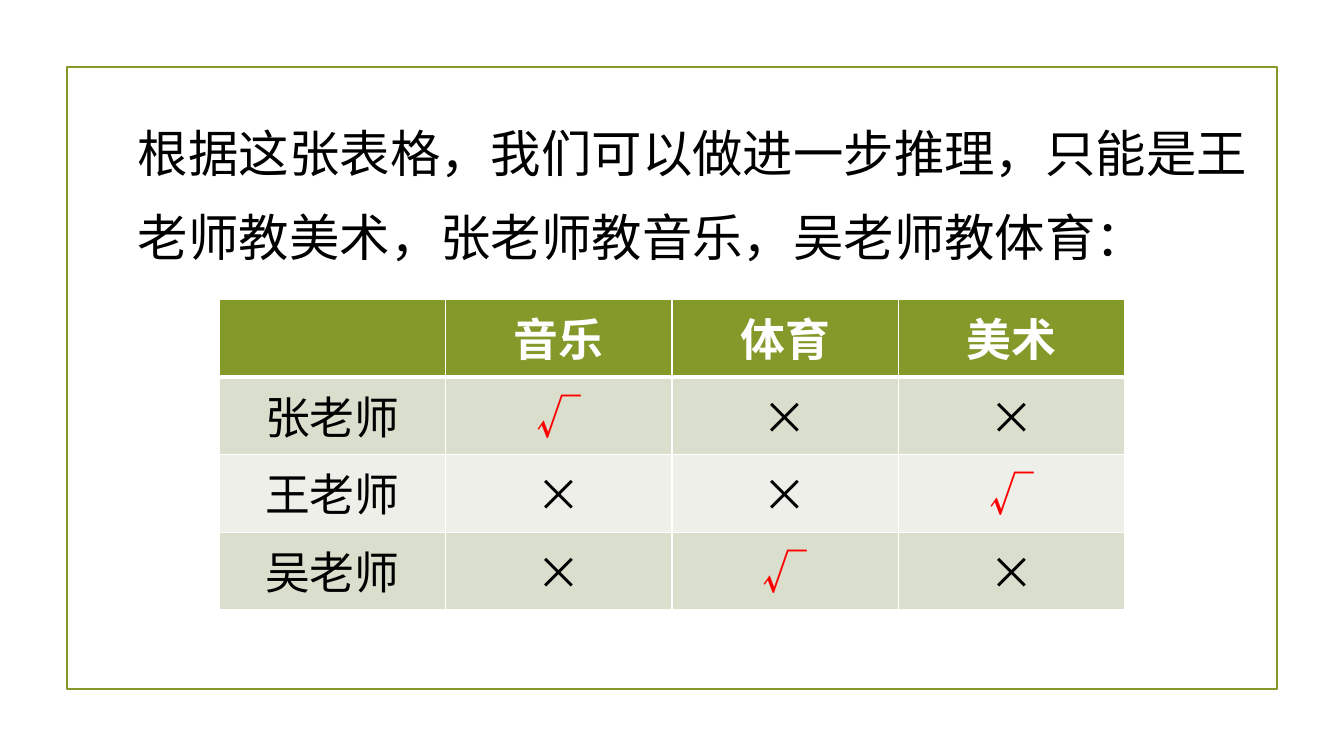
from lxml.etree import SubElement
from pptx import Presentation
from pptx.dml.color import RGBColor
from pptx.enum.shapes import MSO_SHAPE as Shape
from pptx.enum.text import MSO_ANCHOR as Anchor, PP_ALIGN as Align
from pptx.oxml.ns import qn
from pptx.util import Inches, Pt

# Content
REASONING = "根据这张表格，我们可以做进一步推理，只能是王老师教美术，张老师教音乐，吴老师教体育："
LESSONS = [
    ("", "音乐", "体育", "美术"),
    ("张老师", "√", "×", "×"),
    ("王老师", "×", "×", "√"),
    ("吴老师", "×", "√", "×"),
]


class Theme:
    green, white, black, red = "83992A", "FFFFFF", "000000", "FF0000"
    bands = ("D9DECD", "EDEFE8")
    latin, cjk = "Times New Roman", "Noto Sans CJK SC"
    statement_size, cell_size = 36, 32
    frame_line, grid_line, header_line = 1.25, 1, 3


# Layout in inches
SLIDE_W, SLIDE_H = 13.33, 7.5
FRAME_W, FRAME_H = 12, 6.17
STATEMENT_BOX = (1.27, 0.92, 11.41, 1.7)
GRID_TOP, COLUMN_W, ROW_H = 2.97, 2.245, 0.77


def rgb(value):
    return RGBColor.from_string(value)


def write(frame, text, *, size, color=Theme.black, font=Theme.cjk,
          bold=False, align=Align.LEFT, spacing=None):
    paragraph = frame.paragraphs[0]
    paragraph.alignment = align
    paragraph.line_spacing = spacing
    run = paragraph.add_run()
    run.text = text
    run.font.size, run.font.bold, run.font.name = Pt(size), bold, font
    run.font.color.rgb = rgb(color)
    SubElement(run.font._element, qn("a:ea"), typeface=Theme.cjk)


def border(cell, side, width):
    line = SubElement(cell._tc.get_or_add_tcPr(), qn(f"a:ln{side}"), w=str(Pt(width)))
    fill = SubElement(line, qn("a:solidFill"))
    SubElement(fill, qn("a:srgbClr"), val=Theme.white)


def add_frame(slide):
    left, top = (SLIDE_W - FRAME_W) / 2, (SLIDE_H - FRAME_H) / 2
    frame = slide.shapes.add_shape(
        Shape.RECTANGLE, *map(Inches, (left, top, FRAME_W, FRAME_H)))
    frame.shadow.inherit = False
    frame.fill.background()
    frame.line.color.rgb = rgb(Theme.green)
    frame.line.width = Pt(Theme.frame_line)


def add_statement(slide):
    statement = slide.shapes.add_textbox(*map(Inches, STATEMENT_BOX)).text_frame
    statement.word_wrap = True
    write(statement, REASONING, size=Theme.statement_size, font=Theme.latin, spacing=1.4)


def add_lessons(slide):
    rows, columns = len(LESSONS), len(LESSONS[0])
    width = columns * COLUMN_W
    lessons = slide.shapes.add_table(
        rows, columns, Inches((SLIDE_W - width) / 2), Inches(GRID_TOP),
        Inches(width), Inches(rows * ROW_H)).table
    for r, row in enumerate(LESSONS):
        header = r == 0
        for c, text in enumerate(row):
            cell = lessons.cell(r, c)
            cell.vertical_anchor = Anchor.TOP
            # Heavier rule between the header and the first teacher
            for side in "LRTB":
                heavy = (r, side) in ((0, "B"), (1, "T"))
                border(cell, side, Theme.header_line if heavy else Theme.grid_line)
            cell.fill.solid()
            cell.fill.fore_color.rgb = rgb(Theme.green if header else Theme.bands[(r - 1) % 2])
            if text:
                color = Theme.white if header else Theme.red if text == "√" else Theme.black
                write(cell.text_frame, text, size=Theme.cell_size, color=color,
                      bold=header, align=Align.CENTER)


def main():
    deck = Presentation()
    deck.slide_width, deck.slide_height = Inches(SLIDE_W), Inches(SLIDE_H)
    slide = deck.slides.add_slide(deck.slide_layouts[6])
    add_frame(slide)
    add_statement(slide)
    add_lessons(slide)
    deck.save("out.pptx")


if __name__ == "__main__":
    main()
